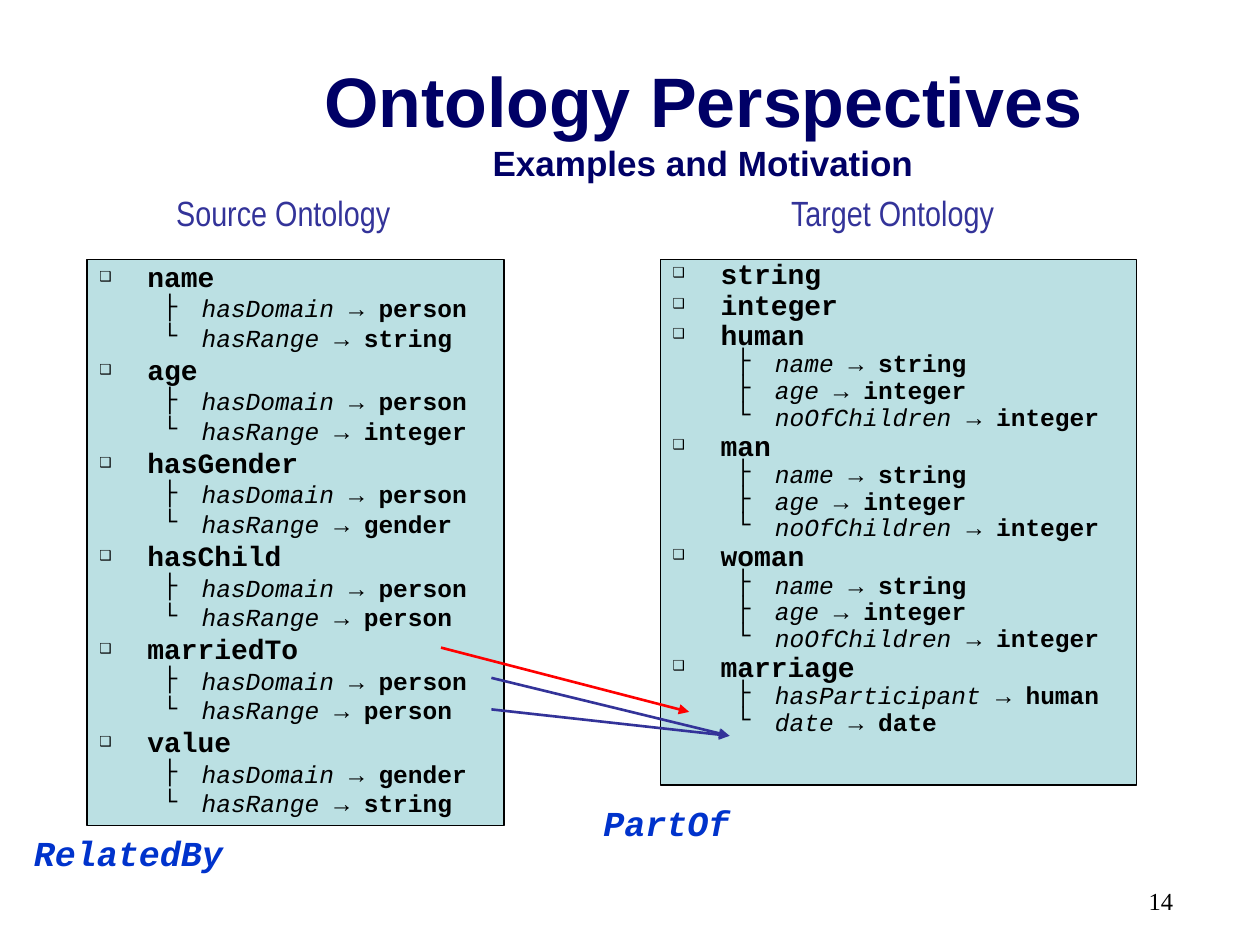
from dataclasses import dataclass

from lxml import etree
from pptx import Presentation
from pptx.dml.color import RGBColor
from pptx.enum.shapes import MSO_CONNECTOR
from pptx.enum.text import MSO_ANCHOR, MSO_AUTO_SIZE, PP_ALIGN
from pptx.oxml.ns import qn
from pptx.util import Inches, Pt

STRAIGHT = MSO_CONNECTOR.STRAIGHT
TOP, MIDDLE = MSO_ANCHOR.TOP, MSO_ANCHOR.MIDDLE
NO_FIT, GROW = MSO_AUTO_SIZE.NONE, MSO_AUTO_SIZE.SHAPE_TO_FIT_TEXT
LEFT, CENTER, RIGHT = PP_ALIGN.LEFT, PP_ALIGN.CENTER, PP_ALIGN.RIGHT

BLACK, NAVY, INDIGO = "000000", "000066", "333399"
BLUE, RED, PANEL_FILL = "0033CC", "FF0000", "BBE0E3"
CODE_FONT = "Courier New"


@dataclass
class Concept:
    name: str
    relations: list[tuple[str, str]]


@dataclass
class Panel:
    area: tuple[float, float, float, float]
    line_spacing: float
    concepts: list[Concept]


@dataclass
class Label:
    text: str
    area: tuple[float, float, float, float]
    size: int
    font: str
    color: str
    emphasis: bool = False
    wrap: bool = False
    align: PP_ALIGN = LEFT


@dataclass
class Arrow:
    start: tuple[float, float]
    end: tuple[float, float]
    color: str


def property_concept(name: str, domain: str, value_range: str) -> Concept:
    return Concept(name, [("hasDomain", domain), ("hasRange", value_range)])


def person_concept(name: str) -> Concept:
    return Concept(name, [("name", "string"), ("age", "integer"), ("noOfChildren", "integer")])


PANELS = [
    Panel((0.69, 2.06, 3.31, 4.49), 0.8, [
        property_concept("name", "person", "string"),
        property_concept("age", "person", "integer"),
        property_concept("hasGender", "person", "gender"),
        property_concept("hasChild", "person", "person"),
        property_concept("marriedTo", "person", "person"),
        property_concept("value", "gender", "string"),
    ]),
    Panel((5.24, 2.06, 3.78, 4.17), 0.7, [
        Concept("string", []),
        Concept("integer", []),
        person_concept("human"),
        person_concept("man"),
        person_concept("woman"),
        Concept("marriage", [("hasParticipant", "human"), ("date", "date")]),
    ]),
]

LABELS = [
    Label("Source Ontology", (1.3, 1.47, 1.9, 0.44), 20, "Arial Narrow", INDIGO),
    Label("Target Ontology", (6.18, 1.47, 1.83, 0.44), 20, "Arial Narrow", INDIGO),
    Label("RelatedBy", (0.17, 6.55, 1.7, 0.44), 20, CODE_FONT, BLUE, emphasis=True),
    Label("PartOf", (4.69, 6.31, 1.2, 0.44), 20, CODE_FONT, BLUE, emphasis=True),
    Label("14", (7.08, 6.98, 2.33, 0.52), 14, "Times New Roman", BLACK, wrap=True, align=RIGHT),
]

ARROWS = [
    Arrow((3.5, 5.14), (5.47, 5.65), RED),
    Arrow((3.9, 5.38), (5.79, 5.84), INDIGO),
    Arrow((3.9, 5.63), (5.79, 5.84), INDIGO),
]


def rgb(value: str) -> RGBColor:
    return RGBColor.from_string(value)


def format_font(font, size: int, name: str, color: str, bold=False, italic=False) -> None:
    font.size, font.name = Pt(size), name
    font.bold, font.italic = bold, italic
    font.color.rgb = rgb(color)


def place(shape, area: tuple[float, float, float, float]) -> None:
    shape.left, shape.top, shape.width, shape.height = map(Inches, area)


def set_bullet(para, symbol: str, percent: int, margin: float, hanging: float) -> None:
    properties = para._p.get_or_add_pPr()
    properties.set("marL", str(Inches(margin)))
    properties.set("indent", str(-Inches(hanging)))
    color = etree.SubElement(properties, qn("a:buClr"))
    etree.SubElement(color, qn("a:srgbClr"), val=BLACK)
    etree.SubElement(properties, qn("a:buSzPct"), val=str(percent * 1000))
    etree.SubElement(properties, qn("a:buFont"), typeface=CODE_FONT)
    etree.SubElement(properties, qn("a:buChar"), char=symbol)


def add_item(frame, spacing: float, level: int, symbol: str, spans: list[tuple]) -> None:
    """Add one list line; each span is (text, bold, italic)."""
    first = not frame.paragraphs[0].runs
    para = frame.paragraphs[0] if first else frame.add_paragraph()
    size = 14 if level else 16
    para.level = level
    para.line_spacing = spacing
    para.space_before = Pt(0 if first else size / 4)
    if level:
        set_bullet(para, symbol, 100, 0.81, 0.31)
    else:
        set_bullet(para, symbol, 70, 0.38, 0.38)
    for text, bold, italic in spans:
        span = para.add_run()
        span.text = text
        format_font(span.font, size, CODE_FONT, BLACK, bold, italic)


def fill_panel(box, panel: Panel) -> None:
    place(box, panel.area)
    box.fill.solid()
    box.fill.fore_color.rgb = rgb(PANEL_FILL)
    box.line.color.rgb = rgb(BLACK)
    box.line.width = Pt(0.75)
    frame = box.text_frame
    frame.auto_size, frame.vertical_anchor = NO_FIT, TOP
    for concept in panel.concepts:
        add_item(frame, panel.line_spacing, 0, "❑", [(concept.name, True, False)])
        for number, (relation, target) in enumerate(concept.relations, 1):
            branch = "└" if number == len(concept.relations) else "├"
            spans = [(relation, False, True), (" → ", False, False), (target, True, False)]
            add_item(frame, panel.line_spacing, 1, branch, spans)


def fill_title(title) -> None:
    place(title, (1.58, 0.33, 8, 1.25))
    frame = title.text_frame
    frame.auto_size, frame.vertical_anchor = NO_FIT, MIDDLE
    para = frame.paragraphs[0]
    para.text = "Ontology Perspectives\vExamples and Motivation"
    para.alignment = CENTER
    for span, size in zip(para.runs, (40, 20)):
        format_font(span.font, size, "Arial", NAVY, bold=True)
    line_break = para._p.find(qn("a:br"))
    etree.SubElement(line_break, qn("a:rPr"), sz="4000")


def add_label(page, label: Label) -> None:
    box = page.shapes.add_textbox(*map(Inches, label.area))
    frame = box.text_frame
    frame.word_wrap = label.wrap
    frame.auto_size = NO_FIT if label.wrap else GROW
    frame.text = label.text
    para = frame.paragraphs[0]
    para.alignment = label.align
    format_font(para.runs[0].font, label.size, label.font, label.color,
                label.emphasis, label.emphasis)


def add_arrow(page, arrow: Arrow) -> None:
    line = page.shapes.add_connector(STRAIGHT, *map(Inches, arrow.start + arrow.end))
    line.line.color.rgb = rgb(arrow.color)
    line.line.width = Pt(1.5)
    etree.SubElement(line.line._get_or_add_ln(), qn("a:tailEnd"), type="triangle")
    etree.SubElement(line._element.spPr, qn("a:effectLst"))


def main() -> None:
    deck = Presentation()
    deck.slide_width, deck.slide_height = Inches(10), Inches(7.5)
    page = deck.slides.add_slide(deck.slide_layouts.get_by_name("Two Content"))
    fill_title(page.shapes.title)
    for index, panel in enumerate(PANELS, 1):
        fill_panel(page.placeholders[index], panel)
    for label in LABELS:
        add_label(page, label)
    for arrow in ARROWS:
        add_arrow(page, arrow)
    deck.save("out.pptx")


if __name__ == "__main__":
    main()
